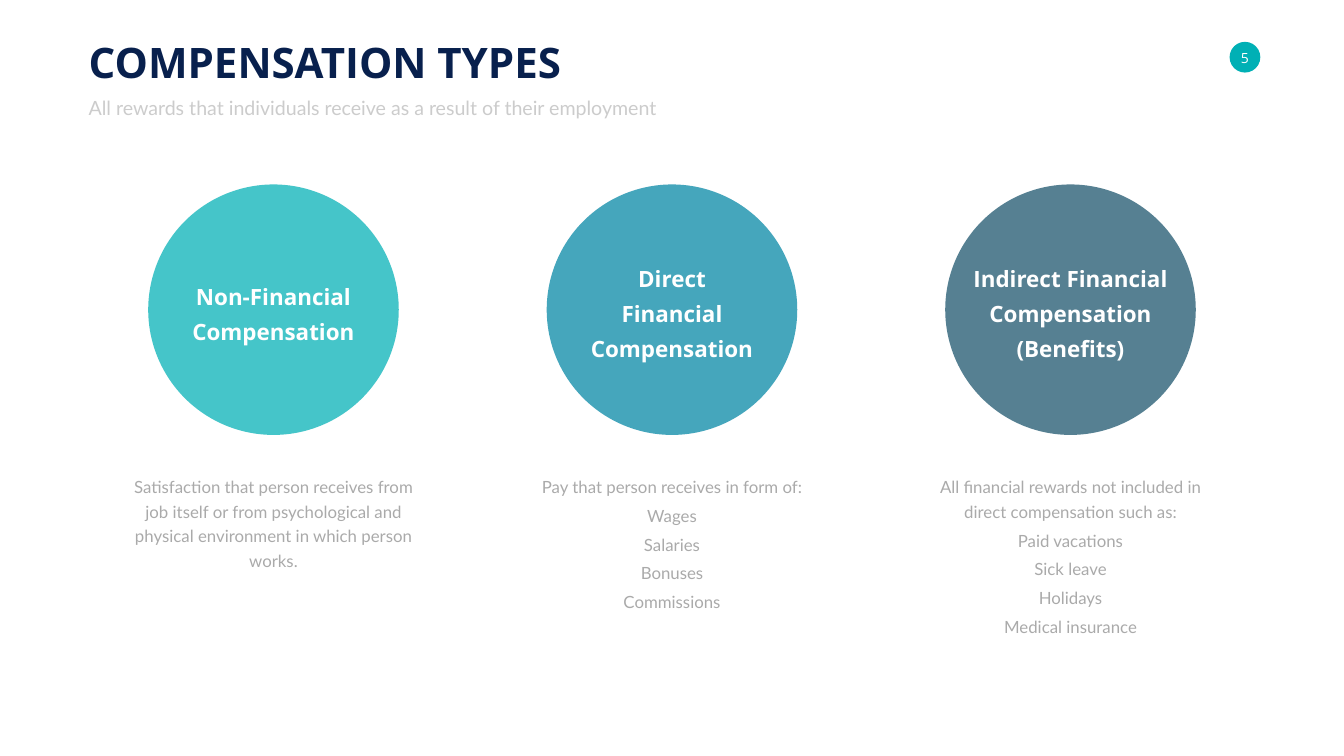
from lxml import etree
from pptx import Presentation
from pptx.dml.color import RGBColor
from pptx.enum.shapes import MSO_SHAPE
from pptx.enum.text import MSO_ANCHOR, PP_ALIGN
from pptx.oxml.ns import qn
from pptx.util import Inches, Pt

OVAL = MSO_SHAPE.OVAL
TOP, MID = MSO_ANCHOR.TOP, MSO_ANCHOR.MIDDLE
LEFT, CENTER = PP_ALIGN.LEFT, PP_ALIGN.CENTER
TITLE_ONLY = 5

THEME = {
    "head": "Open Sans", "body": "Lato",
    "navy": "08204D", "teal": "00B0B5", "blue": "0085A4", "slate": "18526A",
    "white": "FFFFFF", "pale": "CCCCCC", "gray": "AAAAAA",
    "title": 60, "label": 32, "sub": 28, "text": 24, "page": 20,
}

WIDTH, HEIGHT = 26.66, 15
MARGIN = 1.66
PITCH = 7.905          # distance between column centres
DISC, DISC_TOP = 4.97, 3.66
NOTE_WIDTH, NOTE_TOP = 5.97, 9.33
BADGE, BADGE_LEFT, BADGE_TOP = 0.61, 24.39, 0.83

COLUMNS = [
    ("teal", 3.45, ["Non-Financial", "Compensation"],
     2.01, ["Satisfaction that person receives from job itself or from "
            "psychological and physical environment in which person works."]),
    ("blue", 3.45, ["Direct", "Financial", "Compensation"],
     2.83, ["Pay that person receives in form of:",
            "Wages", "Salaries", "Bonuses", "Commissions"]),
    ("slate", 4.09, ["Indirect Financial", "Compensation", "(Benefits)"],
     3.32, ["All financial rewards not included in direct compensation such as:",
            "Paid vacations", "Sick leave", "Holidays", "Medical insurance"]),
]

deck = Presentation()
deck.slide_width, deck.slide_height = Inches(WIDTH), Inches(HEIGHT)
slide = deck.slides.add_slide(deck.slide_layouts[TITLE_ONLY])


def write(lines, left, top, width, height, *, size, color, font="body", bold=False,
          align=CENTER, anchor=TOP, wrap=False, line=None, gap=0, inset=None, box=None):
    """Place lines of text, one paragraph each, in box or in a new text box."""
    place = [Inches(n) for n in (left, top, width, height)]
    if box is None:
        box = slide.shapes.add_textbox(*place)
    else:
        box.left, box.top, box.width, box.height = place
    frame = box.text_frame
    frame.text = "\n".join(lines)
    frame.word_wrap, frame.vertical_anchor = wrap, anchor
    if inset is not None:
        frame.margin_left = frame.margin_right = Inches(inset)
        frame.margin_top = frame.margin_bottom = Inches(inset)
    for i, para in enumerate(frame.paragraphs):
        para.alignment = align
        para.space_before = Pt(gap if i else 0)
        if line:
            para.line_spacing = Pt(line)
        para.font.name, para.font.size = THEME[font], Pt(THEME[size])
        para.font.bold = bold
        para.font.color.rgb = RGBColor.from_string(THEME[color])


def disc(left, top, size, color, alpha=100):
    """Draw a filled circle; alpha is its opacity in percent."""
    shape = slide.shapes.add_shape(OVAL, *[Inches(n) for n in (left, top, size, size)])
    shape.shadow.inherit = False
    shape.line.fill.background()
    shape.fill.solid()
    shape.fill.fore_color.rgb = RGBColor.from_string(THEME[color])
    if alpha < 100:
        tint = shape.fill._xPr.find(".//" + qn("a:srgbClr"))
        etree.SubElement(tint, qn("a:alpha"), val=str(alpha * 1000))


# Page badge
disc(BADGE_LEFT, BADGE_TOP, BADGE, "teal")
write(["5"], BADGE_LEFT + 0.13, BADGE_TOP + 0.14, 0.35, 0.34, size="page",
      color="white", font="head", anchor=MID, inset=0)

# Heading
write(["COMPENSATION TYPES"], MARGIN, 0.67, 9.67, 1.11, size="title", color="navy",
      font="head", bold=True, align=LEFT, box=slide.shapes.title)
write(["All rewards that individuals receive as a result of their employment"],
      MARGIN, 1.84, 11.66, 0.55, size="sub", color="pale", align=LEFT, line=35)

# Three columns, the middle one on the slide's centre
for i, (color, wide, label, tall, note) in enumerate(COLUMNS):
    mid = WIDTH / 2 + (i - 1) * PITCH
    disc(mid - DISC / 2, DISC_TOP, DISC, color, alpha=73)
    high = 0.05 + 0.7 * len(label)
    write(label, mid - wide / 2, DISC_TOP + (DISC - high) / 2, wide, high,
          size="label", color="white", font="head", bold=True, anchor=MID, line=50)
    write(note, mid - NOTE_WIDTH / 2, NOTE_TOP, NOTE_WIDTH, tall,
          size="text", color="gray", wrap=True, line=35, gap=6)

deck.save("out.pptx")
